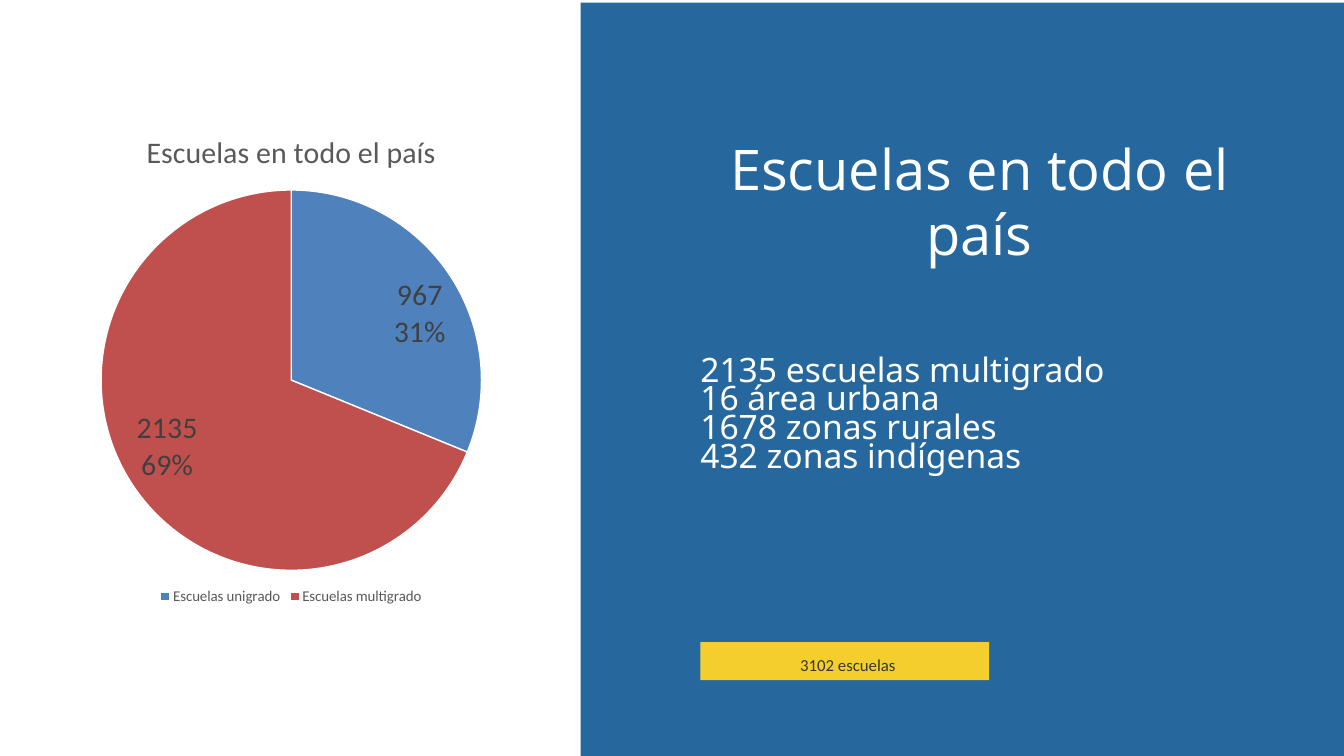
from dataclasses import dataclass

from lxml import etree
from pptx import Presentation
from pptx.chart.data import CategoryChartData
from pptx.dml.color import RGBColor
from pptx.enum.chart import XL_CHART_TYPE, XL_LABEL_POSITION, XL_LEGEND_POSITION
from pptx.enum.shapes import MSO_SHAPE
from pptx.enum.text import MSO_AUTO_SIZE, PP_ALIGN
from pptx.oxml.ns import qn
from pptx.util import Cm, Pt

PIE = XL_CHART_TYPE.PIE
INSIDE_END = XL_LABEL_POSITION.INSIDE_END
BOTTOM = XL_LEGEND_POSITION.BOTTOM
RECTANGLE = MSO_SHAPE.RECTANGLE
GROW = MSO_AUTO_SIZE.SHAPE_TO_FIT_TEXT
CENTER, LEFT = PP_ALIGN.CENTER, PP_ALIGN.LEFT

HEADING = "Escuelas en todo el país"


@dataclass(frozen=True)
class Theme:
    white: str = "FFFFFF"
    panel: str = "004E8E"
    panel_opacity: int = 85
    badge: str = "F4CE2C"
    badge_text: str = "353839"
    chart_text: str = "595959"
    label_text: str = "404040"
    slices: tuple = ("4F81BD", "C0504D")
    heading_font: str = "Open Sans"
    body_font: str = "Noto Sans"
    chart_font: str = "Calibri"
    heading_size: int = 60
    body_size: int = 36
    chart_size: int = 32
    badge_size: int = 18
    legend_size: int = 16


THEME = Theme()


def set_font(font, name, size, color):
    for key, value in {"name": name, "size": Pt(size), "bold": False}.items():
        setattr(font, key, value)
    font.color.rgb = RGBColor.from_string(color)


def add_rectangle(page, box, color, opacity=100):
    shape = page.shapes.add_shape(RECTANGLE, *map(Cm, box))
    shape.shadow.inherit = False
    shape.line.fill.background()
    shape.fill.solid()
    shape.fill.fore_color.rgb = RGBColor.from_string(color)
    if opacity < 100:
        color_node = shape.fill._xPr.find(".//" + qn("a:srgbClr"))
        etree.SubElement(color_node, qn("a:alpha"), val=str(opacity * 1000))


def add_text(page, box, lines, font, spacing, align=LEFT, inset=True):
    frame = page.shapes.add_textbox(*map(Cm, box)).text_frame
    settings = {"word_wrap": True, "auto_size": GROW}
    if not inset:
        sides = ("left", "top", "right", "bottom")
        settings.update({f"margin_{side}": 0 for side in sides})
    for key, value in settings.items():
        setattr(frame, key, value)
    for index, line in enumerate(lines):
        para = frame.add_paragraph() if index else frame.paragraphs[0]
        para.alignment = align
        para.line_spacing = Pt(spacing)
        span = para.add_run()
        span.text = line
        set_font(span.font, *font)


def add_school_chart(page, box):
    data = CategoryChartData()
    data.categories = ["Escuelas unigrado", "Escuelas multigrado"]
    data.add_series(HEADING, (967, 2135))
    chart = page.shapes.add_chart(PIE, *map(Cm, box), data).chart
    set_font(chart.font, THEME.chart_font, 10, "000000")

    # Title and legend
    chart.has_title = True
    chart.chart_title.include_in_layout = False
    para = chart.chart_title.text_frame.paragraphs[0]
    span = para.add_run()
    span.text = HEADING
    set_font(span.font, THEME.chart_font, THEME.chart_size, THEME.chart_text)
    chart.has_legend = True
    chart.legend.position = BOTTOM
    chart.legend.include_in_layout = False
    set_font(chart.legend.font, THEME.chart_font, THEME.legend_size, THEME.chart_text)

    # Slices
    plot = chart.plots[0]
    plot.vary_by_categories = True
    series = plot.series[0]
    for index, color in enumerate(THEME.slices):
        style = series.points[index].format
        style.fill.solid()
        style.fill.fore_color.rgb = RGBColor.from_string(color)
        style.line.width = Pt(1.5)
        style.line.color.rgb = RGBColor.from_string(THEME.white)

    # Value above percentage
    labels = series.data_labels
    settings = {"show_value": True, "show_percentage": True, "position": INSIDE_END}
    for key, value in settings.items():
        setattr(labels, key, value)
    set_font(labels.font, THEME.chart_font, THEME.chart_size, THEME.label_text)
    separator = etree.Element(qn("c:separator"))
    separator.text = "\n"
    labels._element.find(qn("c:showBubbleSize")).addnext(separator)


def add_badge(page, box):
    left, top, width, height = box
    add_rectangle(page, box, THEME.badge)
    add_text(page, (left - 0.25, top - 0.08, width + 0.74, height - 0.11),
             ["3102 escuelas"],
             (THEME.chart_font, THEME.badge_size, THEME.badge_text), 33.6, CENTER)


def add_summary_panel(page, box):
    left, top = box[:2]
    text_left = left + 4.52
    add_rectangle(page, box, THEME.panel, THEME.panel_opacity)
    add_badge(page, (text_left, top + 24.18, 10.92, 1.43))
    add_text(page, (text_left, top + 5.08, 21.11, 4.98), [HEADING],
             (THEME.heading_font, THEME.heading_size, THEME.white),
             69.6, CENTER, inset=False)
    add_text(page, (text_left, top + 13.51, 16.08, 4.47),
             ["2135 escuelas multigrado", "16 área urbana",
              "1678 zonas rurales", "432 zonas indígenas"],
             (THEME.body_font, THEME.body_size, THEME.white), 30.8, inset=False)


def main():
    deck = Presentation()
    deck.slide_width, deck.slide_height = Cm(50.8), Cm(28.58)
    page = deck.slides.add_slide(deck.slide_layouts[6])
    page.background.fill.solid()
    page.background.fill.fore_color.rgb = RGBColor.from_string(THEME.white)
    add_summary_panel(page, (21.95, 0.1, 28.85, 28.58))
    add_school_chart(page, (0, 4.24, 22.02, 18.77))
    deck.save("out.pptx")


if __name__ == "__main__":
    main()
